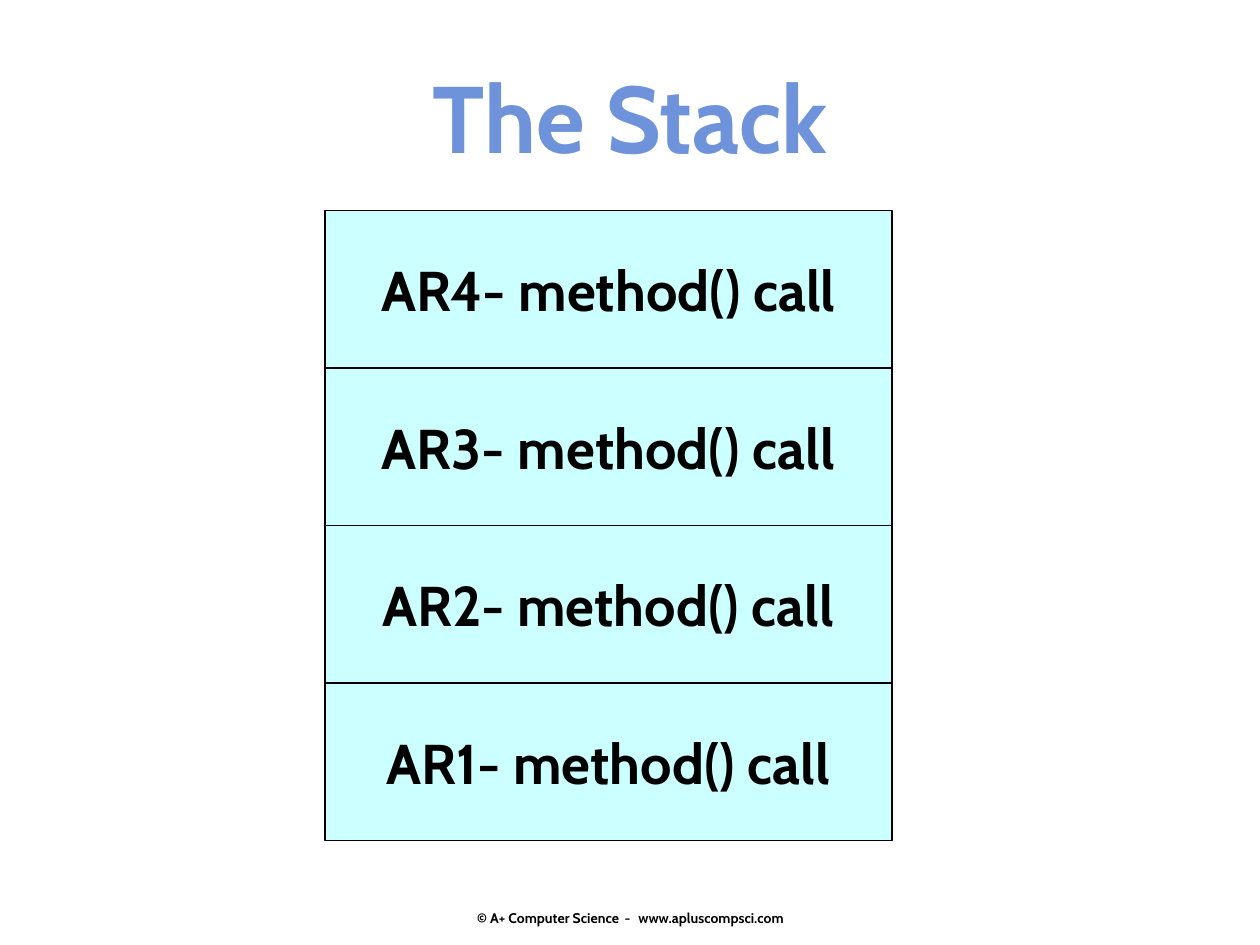
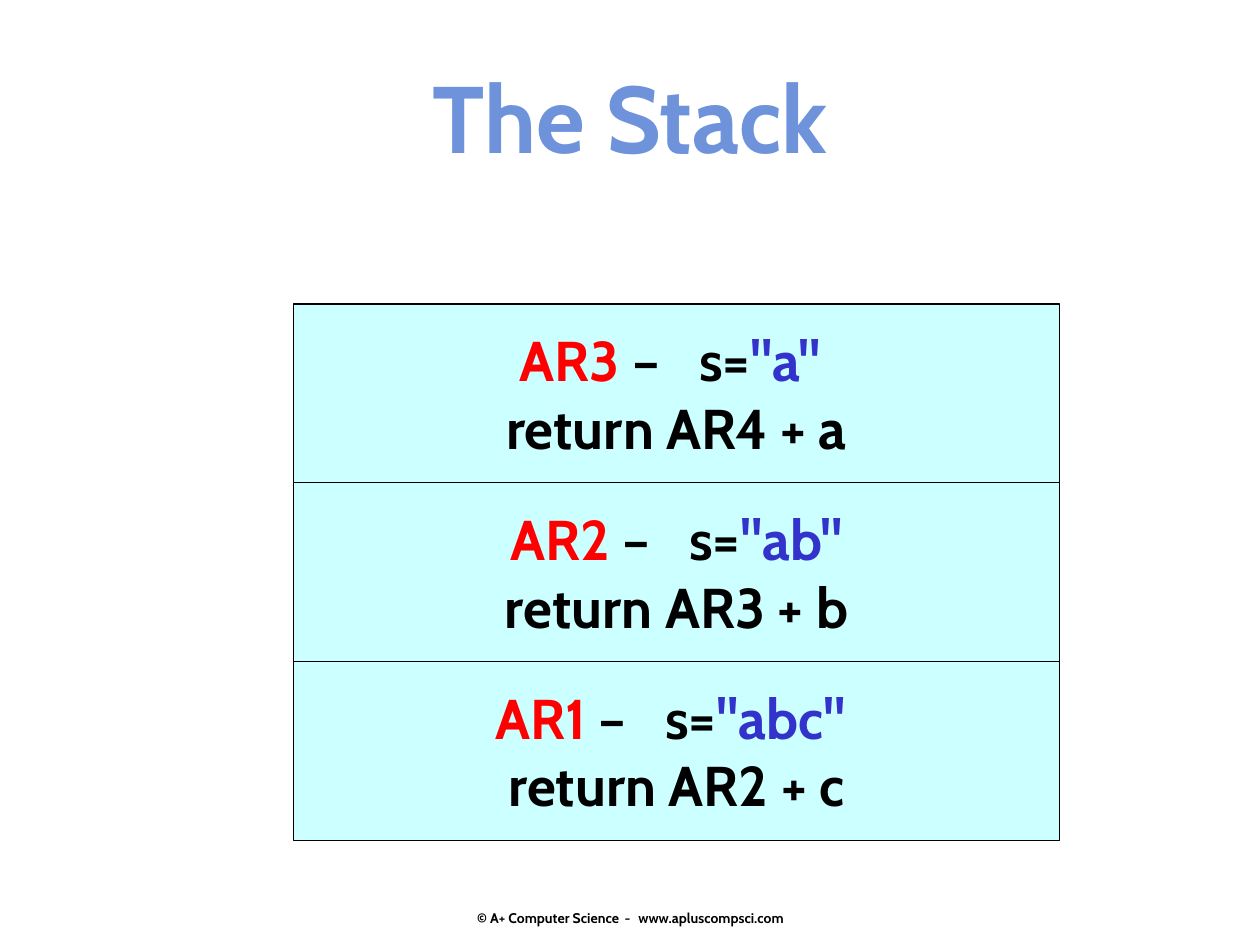
"""Build two slides that show method calls piled up as activation records on the stack."""

import dataclasses

import pptx
import pptx.dml.color
import pptx.enum.shapes
import pptx.enum.text
import pptx.presentation
import pptx.slide
import pptx.text.text
import pptx.util

Inches = pptx.util.Inches
RGB = pptx.dml.color.RGBColor.from_string
Anchor = pptx.enum.text.MSO_ANCHOR


@dataclasses.dataclass(frozen=True)
class Theme:
    font: str = "Cabin"
    heading: str = "6F93DB"
    ink: str = "000000"
    record_fill: str = "CCFFFF"
    record_name: str = "FF0000"
    literal: str = "3333CC"
    heading_size: int = 54
    record_size: int = 32
    footer_size: int = 8
    border: float = 1


THEME = Theme()


@dataclasses.dataclass(frozen=True)
class Span:
    text: str
    color: str = THEME.ink
    tracking: float = 0


Line = tuple[Span, ...]


@dataclasses.dataclass(frozen=True)
class Stack:
    left: float
    width: float
    record_height: float
    records: tuple[tuple[Line, ...], ...]


STACK_BOTTOM = 6.67
HEADING = "The Stack"
COPYRIGHT = (
    Span("© A+ Computer Science"),
    Span(" - ", tracking=1.3),
    Span("www.apluscompsci.com"),
)


def call_record(number: int) -> tuple[Line, ...]:
    return ((Span(f"AR{number}- method() call"),),)


def return_record(number: int, literal: str, letter: str) -> tuple[Line, ...]:
    state = (
        Span(f"AR{number}", THEME.record_name),
        Span(" –"),
        Span(" ", tracking=15),
        Span("s="),
        Span(literal, THEME.literal),
    )
    return state, (Span(f"return AR{number + 1} + {letter}"),)


STACKS = (
    Stack(2.58, 4.5, 1.25, tuple(call_record(number) for number in range(1, 5))),
    Stack(2.33, 6.08, 1.42, (
        return_record(1, '"abc" ', "c"),
        return_record(2, '"ab"', "b"),
        return_record(3, '"a" ', "a"),
    )),
)


def write_lines(frame: pptx.text.text.TextFrame, lines: tuple[Line, ...],
                size: int, anchor: Anchor) -> None:
    frame.word_wrap = True
    frame.auto_size = pptx.enum.text.MSO_AUTO_SIZE.NONE
    frame.vertical_anchor = anchor
    for index, line in enumerate(lines):
        paragraph = frame.add_paragraph() if index else frame.paragraphs[0]
        paragraph.alignment = pptx.enum.text.PP_ALIGN.CENTER
        for span in line:
            run = paragraph.add_run()
            run.text = span.text
            run.font.name = THEME.font
            run.font.size = pptx.util.Pt(size)
            run.font.bold = True
            run.font.color.rgb = RGB(span.color)
            if span.tracking:
                run._r.get_or_add_rPr().set("spc", str(round(span.tracking * 100)))


def add_footer(slide: pptx.slide.Slide) -> None:
    footer = slide.shapes.add_textbox(Inches(3.42), Inches(6.83), Inches(3.17), Inches(0.52))
    footer.text_frame.margin_bottom = 0
    write_lines(footer.text_frame, (COPYRIGHT,), THEME.footer_size, Anchor.BOTTOM)


def add_stack(slide: pptx.slide.Slide, stack: Stack) -> None:
    for level, lines in enumerate(stack.records, start=1):
        record = slide.shapes.add_shape(
            pptx.enum.shapes.MSO_SHAPE.RECTANGLE,
            Inches(stack.left), Inches(STACK_BOTTOM - level * stack.record_height),
            Inches(stack.width), Inches(stack.record_height))
        record.shadow.inherit = False
        record.fill.solid()
        record.fill.fore_color.rgb = RGB(THEME.record_fill)
        record.line.color.rgb = RGB(THEME.ink)
        record.line.width = pptx.util.Pt(THEME.border)
        write_lines(record.text_frame, lines, THEME.record_size, Anchor.MIDDLE)


def add_stack_slide(deck: pptx.presentation.Presentation, stack: Stack) -> None:
    slide = deck.slides.add_slide(deck.slide_layouts.get_by_name("Title Only"))
    heading = slide.shapes.title
    heading.left, heading.top = Inches(0), Inches(0.42)
    heading.width, heading.height = Inches(10), Inches(1.01)
    write_lines(heading.text_frame, ((Span(HEADING, THEME.heading),),),
                THEME.heading_size, Anchor.TOP)
    add_footer(slide)
    add_stack(slide, stack)


def main() -> None:
    deck = pptx.Presentation()
    deck.slide_width, deck.slide_height = Inches(10), Inches(7.5)
    for stack in STACKS:
        add_stack_slide(deck, stack)
    deck.save("out.pptx")


if __name__ == "__main__":
    main()
